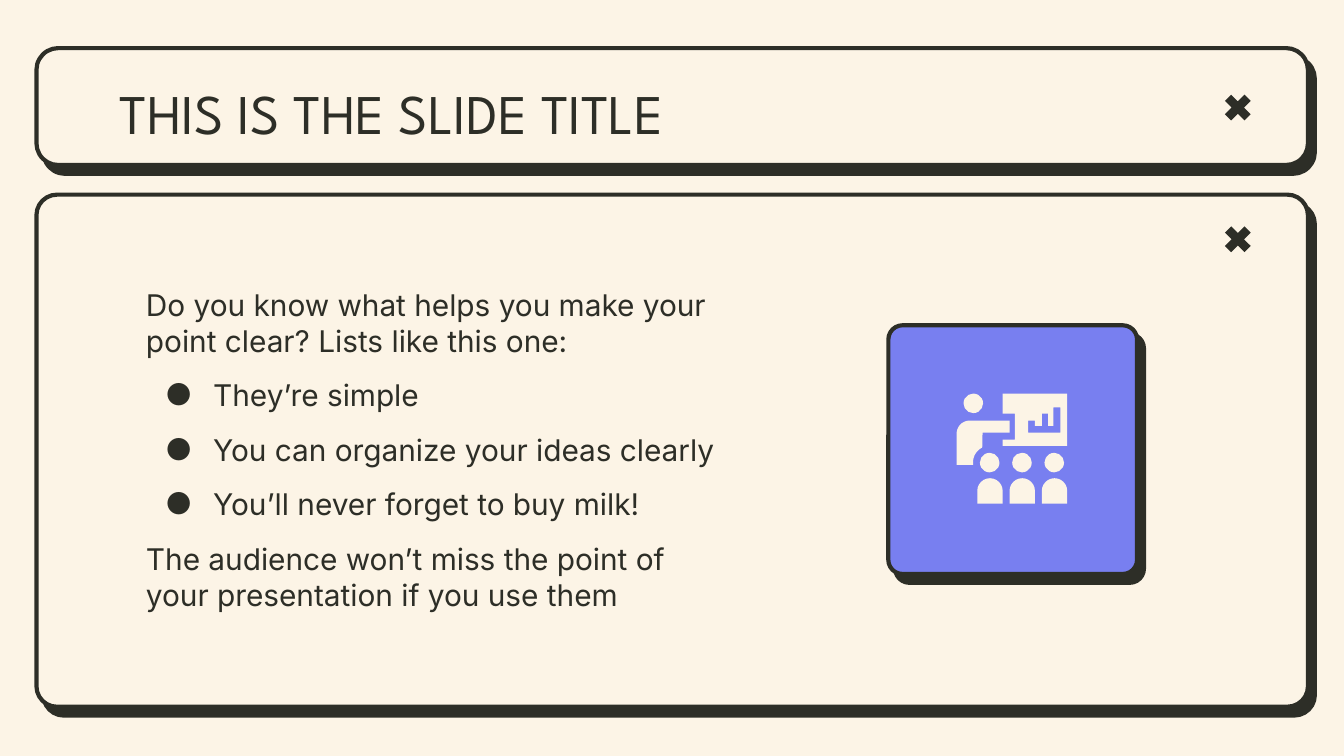
from dataclasses import dataclass
from math import cos, radians, sin

from lxml import etree
from pptx import Presentation
from pptx.dml.color import RGBColor
from pptx.enum.shapes import MSO_SHAPE
from pptx.enum.text import MSO_ANCHOR, MSO_AUTO_SIZE, PP_ALIGN
from pptx.oxml import parse_xml
from pptx.oxml.ns import nsdecls, qn
from pptx.util import Cm, Pt

ROUND = MSO_SHAPE.ROUNDED_RECTANGLE
CROSS = MSO_SHAPE.MATH_MULTIPLY
OVAL = MSO_SHAPE.OVAL
ARCH = MSO_SHAPE.ROUND_2_SAME_RECTANGLE
TOP, MIDDLE = MSO_ANCHOR.TOP, MSO_ANCHOR.MIDDLE
LEFT, NO_FIT = PP_ALIGN.LEFT, MSO_AUTO_SIZE.NONE

COLORS = {"cream": "FCF4E6", "ink": "2D2E27", "blue": "787FF0"}
Points = list[tuple[float, float]]


@dataclass
class Panel:
    left: float
    top: float
    width: float
    height: float
    round: float
    color: str = "cream"


@dataclass
class Line:
    text: str
    bullet: bool = False
    before: float = 10
    after: float = 0


PANELS = [
    Panel(0.69, 0.91, 24.03, 2.21, 0.186),
    Panel(0.69, 3.68, 24.03, 9.68, 0.04),
    Panel(16.79, 6.15, 4.7, 4.7, 0.057, "blue"),
]
LINES = [
    Line("Do you know what helps you make your point clear? "
         "Lists like this one:", before=0),
    Line("They’re simple", True),
    Line("You can organize your ideas clearly", True),
    Line("You’ll never forget to buy milk!", True),
    Line("The audience won’t miss the point of your presentation "
         "if you use them", after=10),
]


def rgb(name: str) -> RGBColor:
    return RGBColor.from_string(COLORS[name])


def paint(shape, color: str) -> None:
    shape.shadow.inherit = False
    shape.fill.solid()
    shape.fill.fore_color.rgb = rgb(color)
    shape.line.fill.background()


def add_part(slide, kind, left: float, top: float, width: float,
             height: float, color: str, adjust: tuple = ()):
    shape = slide.shapes.add_shape(
        kind, Cm(left), Cm(top), Cm(width), Cm(height))
    for i, value in enumerate(adjust):
        shape.adjustments[i] = value
    paint(shape, color)
    return shape


def add_panel(slide, panel: Panel) -> None:
    shape = add_part(slide, ROUND, panel.left, panel.top, panel.width,
                     panel.height, panel.color, (panel.round,))
    shape.line.color.rgb = rgb("ink")
    shape.line.width = Pt(2.25)
    # Hard shadow, down and to the right
    effects = shape.element.spPr.find(qn("a:effectLst"))
    effects.append(parse_xml(
        f'<a:outerShdw {nsdecls("a")} blurRad="0" dist="{Pt(6)}" '
        f'dir="{52 * 60000}" algn="bl" rotWithShape="0">'
        f'<a:srgbClr val="{COLORS["ink"]}"/></a:outerShdw>'))


def arc(x: float, y: float, radius: float, start: int, end: int) -> Points:
    steps = 12
    turns = [radians(start + (end - start) * i / steps)
             for i in range(steps + 1)]
    return [(x + radius * cos(t), y + radius * sin(t)) for t in turns]


def add_outline(slide, *loops: Points) -> None:
    emu = [[(Cm(x), Cm(y)) for x, y in loop] for loop in loops]
    pen = slide.shapes.build_freeform(*emu[0][0])
    pen.add_line_segments(emu[0][1:], close=True)
    for loop in emu[1:]:
        pen.move_to(*loop[0])
        pen.add_line_segments(loop[1:], close=True)
    paint(pen.convert_to_shape(), "cream")


def set_frame(frame, anchor) -> None:
    frame.word_wrap = True
    frame.auto_size = NO_FIT
    frame.vertical_anchor = anchor
    frame.margin_left = frame.margin_right = Cm(0.25)
    frame.margin_top = frame.margin_bottom = Cm(0.25)


def set_font(para, name: str, size: float) -> None:
    para.alignment = LEFT
    para.font.name = name
    para.font.size = Pt(size)
    para.font.color.rgb = rgb("ink")


def add_bullet(para) -> None:
    props = para._p.get_or_add_pPr()
    props.set("marL", str(Cm(1.27)))
    props.set("indent", str(Cm(-0.91)))
    tint = etree.SubElement(props, qn("a:buClr"))
    etree.SubElement(tint, qn("a:srgbClr"), val=COLORS["ink"])
    etree.SubElement(props, qn("a:buFont"), typeface="Inter")
    etree.SubElement(props, qn("a:buChar"), char="●")


def add_title(slide, text: str) -> None:
    title = slide.shapes.title
    title.left, title.top = Cm(2.01), Cm(1.24)
    title.width, title.height = Cm(21.41), Cm(1.6)
    title.text_frame.text = text
    set_frame(title.text_frame, TOP)
    set_font(title.text_frame.paragraphs[0], "League Spartan", 30)
    # Bring the title in front of its panel
    title.element.getparent().append(title.element)


def add_body(slide) -> None:
    box = slide.shapes.add_textbox(Cm(2.51), Cm(4.29), Cm(11.28), Cm(8.41))
    frame = box.text_frame
    set_frame(frame, MIDDLE)
    for i, line in enumerate(LINES):
        para = frame.add_paragraph() if i else frame.paragraphs[0]
        para.text = line.text
        if line.bullet:
            add_bullet(para)
        para.space_before = Pt(line.before)
        para.space_after = Pt(line.after)
        set_font(para, "Inter", 16)


def add_icon(slide) -> None:
    head = 0.37
    # Presenter
    add_part(slide, OVAL, 18.21, 7.44, head, head, "cream")
    add_outline(slide, arc(18.33, 8.2, 0.25, 270, 180)
                + [(18.08, 8.79), (18.39, 8.79)]
                + arc(18.7, 8.74, 0.31, 180, 244)
                + [(18.57, 8.18), (19.08, 8.18), (19.08, 7.95)])
    # Board with a chart cut out of it
    board = [(18.95, 7.44), (18.95, 7.82), (19.18, 7.82), (19.18, 8.31),
             (18.95, 8.31), (18.95, 8.43), (20.17, 8.43), (20.17, 7.44)]
    chart = [(20.04, 7.7), (20.04, 8.18), (19.43, 8.18), (19.43, 7.95),
             (19.56, 7.95), (19.56, 8.05), (19.69, 8.05), (19.69, 7.82),
             (19.81, 7.82), (19.81, 8.05), (19.91, 8.05), (19.91, 7.7)]
    add_outline(slide, board, chart)
    # Audience
    for i in range(3):
        shift = 0.61 * i
        add_part(slide, OVAL, 18.52 + shift, 8.56, head, head, "cream")
        add_part(slide, ARCH, 18.47 + shift, 9.04, 0.48, 0.48, "cream",
                 (0.5, 0))


def main() -> None:
    deck = Presentation()
    deck.slide_width, deck.slide_height = Cm(25.4), Cm(14.29)
    slide = deck.slides.add_slide(deck.slide_layouts[5])
    slide.background.fill.solid()
    slide.background.fill.fore_color.rgb = rgb("cream")

    for panel in PANELS:
        add_panel(slide, panel)
    for top in (1.68, 4.17):
        add_part(slide, CROSS, 23.04, top, 0.71, 0.71, "ink", (0.235,))
    add_body(slide)
    add_title(slide, "THIS IS THE SLIDE TITLE")
    add_icon(slide)
    deck.save("out.pptx")


if __name__ == "__main__":
    main()
